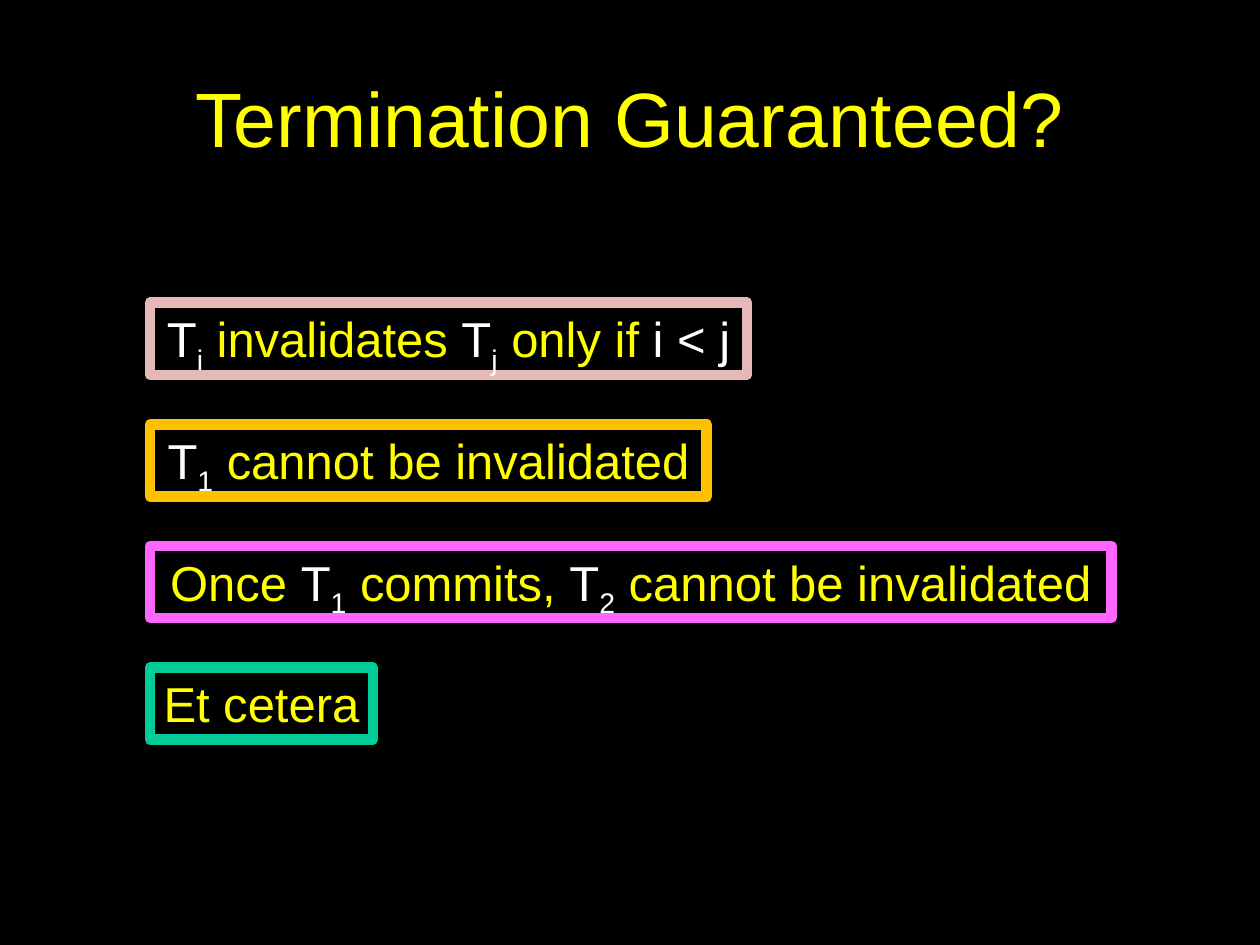
from pptx import Presentation
from pptx.dml.color import RGBColor
from pptx.enum.shapes import MSO_SHAPE
from pptx.enum.text import MSO_ANCHOR, MSO_AUTO_SIZE, PP_ALIGN
from pptx.util import Pt

# Content: each run is (text, role); roles are "plain", "symbol" and "subscript"
TITLE = [("Termination Guaranteed?", "plain")]
CLAIMS = [  # runs, border colour, box width
    ([("T", "symbol"), ("i", "subscript"), (" invalidates ", "plain"),
      ("T", "symbol"), ("j", "subscript"), (" only if ", "plain"),
      ("i < j", "symbol")], "E6B9B8", 341.3),
    ([("T", "symbol"), ("1", "subscript"),
      (" cannot be invalidated", "plain")], "FFC000", 318.2),
    ([("Once ", "plain"), ("T", "symbol"), ("1", "subscript"),
      (" commits, ", "plain"), ("T", "symbol"), ("2", "subscript"),
      (" cannot be invalidated", "plain")], "FF66FF", 549.4),
    ([("Et cetera", "plain")], "00CC99", 127.4),
]

THEME = {
    "font": "Arial",
    "title_size": 44,
    "claim_size": 28,
    "background": "000000",
    "plain": "FFFF00",
    "symbol": "FFFFFF",
    "subscript": "FFFFFF",
    "border": 6,
}

# Layout in points
SLIDE_SIZE = (720, 540)
TITLE_BOX = (36, 21.6, 648, 90)
CLAIM_LEFT, CLAIM_TOP, CLAIM_HEIGHT, CLAIM_PITCH = 85.7, 173, 41.2, 69.5


def color(hex_value):
    return RGBColor.from_string(hex_value)


def write_text(shape, runs, *, size, wrap, anchor, auto_size=MSO_AUTO_SIZE.NONE):
    frame = shape.text_frame
    frame.word_wrap = wrap
    frame.vertical_anchor = anchor
    frame.auto_size = auto_size
    paragraph = frame.paragraphs[0]
    paragraph.alignment = PP_ALIGN.CENTER
    for text, role in runs:
        run = paragraph.add_run()
        run.text = text
        run.font.name = THEME["font"]
        run.font.size = Pt(size)
        run.font.color.rgb = color(THEME[role])
        if role == "subscript":
            run._r.get_or_add_rPr().set("baseline", "-25000")


def add_claim(slide, runs, border, left, top, width, height):
    shape = slide.shapes.add_shape(
        MSO_SHAPE.RECTANGLE, Pt(left), Pt(top), Pt(width), Pt(height))
    shape.shadow.inherit = False
    shape.fill.solid()
    shape.fill.fore_color.rgb = color(THEME["background"])
    shape.line.color.rgb = color(border)
    shape.line.width = Pt(THEME["border"])
    write_text(shape, runs, size=THEME["claim_size"], wrap=False,
               anchor=MSO_ANCHOR.TOP, auto_size=MSO_AUTO_SIZE.SHAPE_TO_FIT_TEXT)


def main():
    presentation = Presentation()
    presentation.slide_width, presentation.slide_height = map(Pt, SLIDE_SIZE)
    slide = presentation.slides.add_slide(presentation.slide_layouts[6])
    slide.background.fill.solid()
    slide.background.fill.fore_color.rgb = color(THEME["background"])

    # Title
    title = slide.shapes.add_textbox(*map(Pt, TITLE_BOX))
    write_text(title, TITLE, size=THEME["title_size"], wrap=True,
               anchor=MSO_ANCHOR.MIDDLE)

    # Claims, stacked at an even pitch
    for row, (runs, border, width) in enumerate(CLAIMS):
        add_claim(slide, runs, border, CLAIM_LEFT,
                  CLAIM_TOP + row * CLAIM_PITCH, width, CLAIM_HEIGHT)

    presentation.save("out.pptx")


if __name__ == "__main__":
    main()
